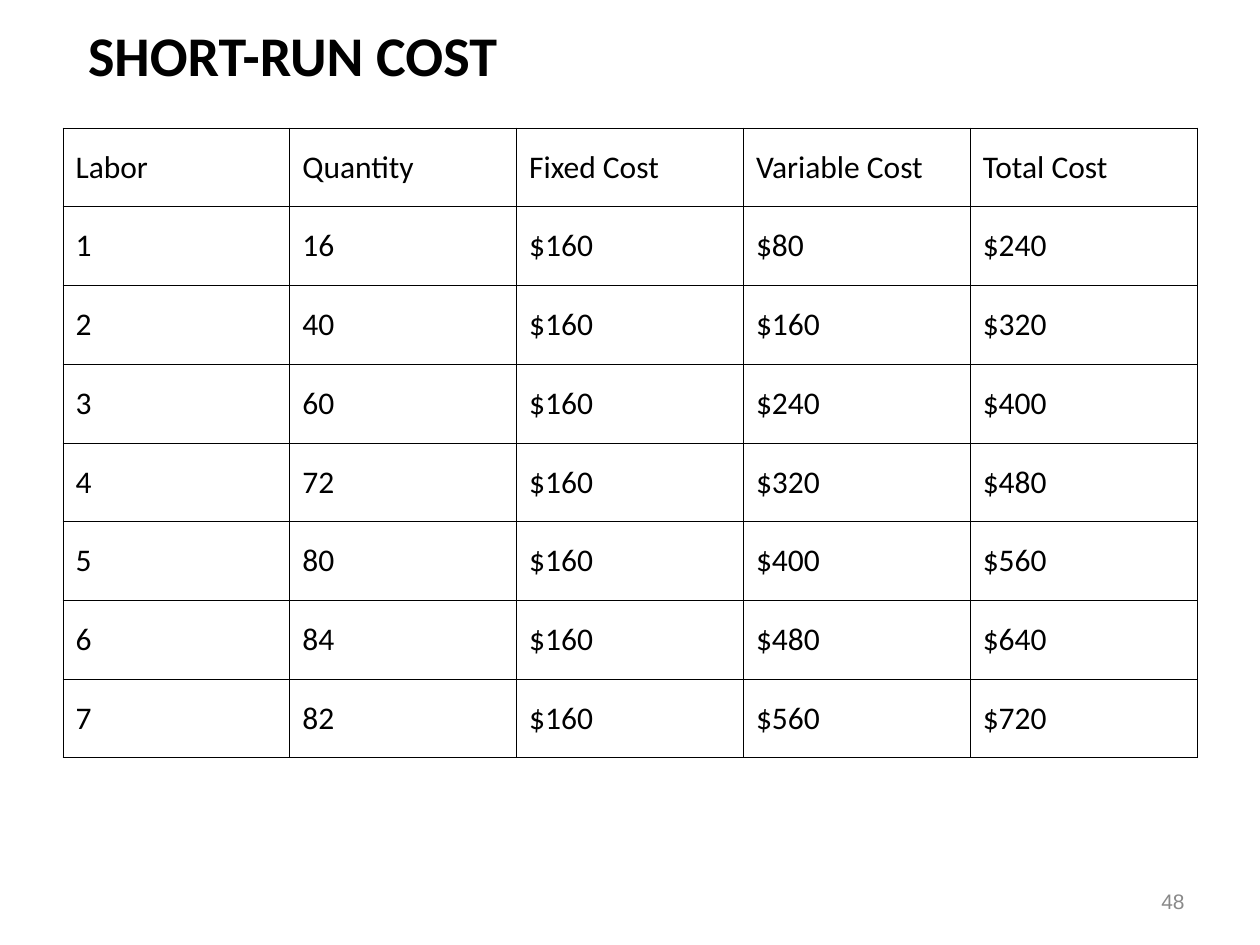
from dataclasses import dataclass

from lxml import etree
from pptx import Presentation
from pptx.dml.color import RGBColor
from pptx.enum.text import MSO_ANCHOR, PP_ALIGN
from pptx.oxml.ns import qn
from pptx.util import Emu, Pt

MIDDLE = MSO_ANCHOR.MIDDLE
LEFT, RIGHT = PP_ALIGN.LEFT, PP_ALIGN.RIGHT
PX_PER_INCH = 126
BLANK_LAYOUT = 6


def px(length):
    return Emu(round(length * 914400 / PX_PER_INCH))


@dataclass(frozen=True)
class Theme:
    ink: str = "000000"
    muted: str = "898989"
    font: str = "Calibri"
    number_font: str = "Arial"
    title_size: int = 32
    table_size: int = 18
    number_size: int = 12
    border_width: float = 0.45


class SlideBuilder:
    def __init__(self, page, theme):
        self.page = page
        self.theme = theme

    def add_span(self, para, text, color, align=LEFT, **font_format):
        para.alignment = align
        span = para.add_run()
        span.text = text
        for name, value in font_format.items():
            setattr(span.font, name, value)
        span.font.color.rgb = RGBColor.from_string(color)

    def add_text(self, bounds, text, color, **text_format):
        box = self.page.shapes.add_textbox(*map(px, bounds))
        frame = box.text_frame
        frame.word_wrap = True
        frame.vertical_anchor = MIDDLE
        self.add_span(frame.paragraphs[0], text, color, **text_format)

    def add_border(self, cell):
        properties = cell._tc.get_or_add_tcPr()
        for position, side in enumerate(("a:lnL", "a:lnR", "a:lnT", "a:lnB")):
            line = etree.Element(qn(side), w=str(Pt(self.theme.border_width)))
            fill = etree.SubElement(line, qn("a:solidFill"))
            etree.SubElement(fill, qn("a:srgbClr"), val=self.theme.ink)
            properties.insert(position, line)

    def add_table(self, bounds, rows):
        left, top, width, height = map(px, bounds)
        frame = self.page.shapes.add_table(
            len(rows), len(rows[0]), left, top, width, height)
        table = frame.table
        table.first_row = table.horz_banding = False
        for column in table.columns:
            column.width = width // len(rows[0])
        for row, values in zip(table.rows, rows):
            row.height = height // len(rows)
            for cell, value in zip(row.cells, values):
                cell.fill.background()
                cell.vertical_anchor = MIDDLE
                self.add_border(cell)
                self.add_span(cell.text_frame.paragraphs[0], value, self.theme.ink,
                              name=self.theme.font, size=Pt(self.theme.table_size))


def cost_rows():
    """Total cost is a fixed cost plus a wage for each unit of labor."""
    fixed, wage = 160, 80
    rows = [("Labor", "Quantity", "Fixed Cost", "Variable Cost", "Total Cost")]
    for labor, quantity in enumerate((16, 40, 60, 72, 80, 84, 82), start=1):
        variable = wage * labor
        rows.append((str(labor), str(quantity), f"${fixed}",
                     f"${variable}", f"${fixed + variable}"))
    return rows


def main():
    deck = Presentation()
    deck.slide_width, deck.slide_height = px(1260), px(945)
    page = deck.slides.add_slide(deck.slide_layouts[BLANK_LAYOUT])
    theme = Theme()
    builder = SlideBuilder(page, theme)

    # Title
    builder.add_text((63, 38, 1134, 32), " SHORT-RUN COST", theme.ink,
                     name=theme.font, size=Pt(theme.title_size), bold=True)

    # Cost table
    builder.add_table((63, 128, 1134, 630), cost_rows())

    # Page number
    builder.add_text((903, 876, 294, 50), "48", theme.muted, align=RIGHT,
                     name=theme.number_font, size=Pt(theme.number_size))

    deck.save("out.pptx")


if __name__ == "__main__":
    main()
